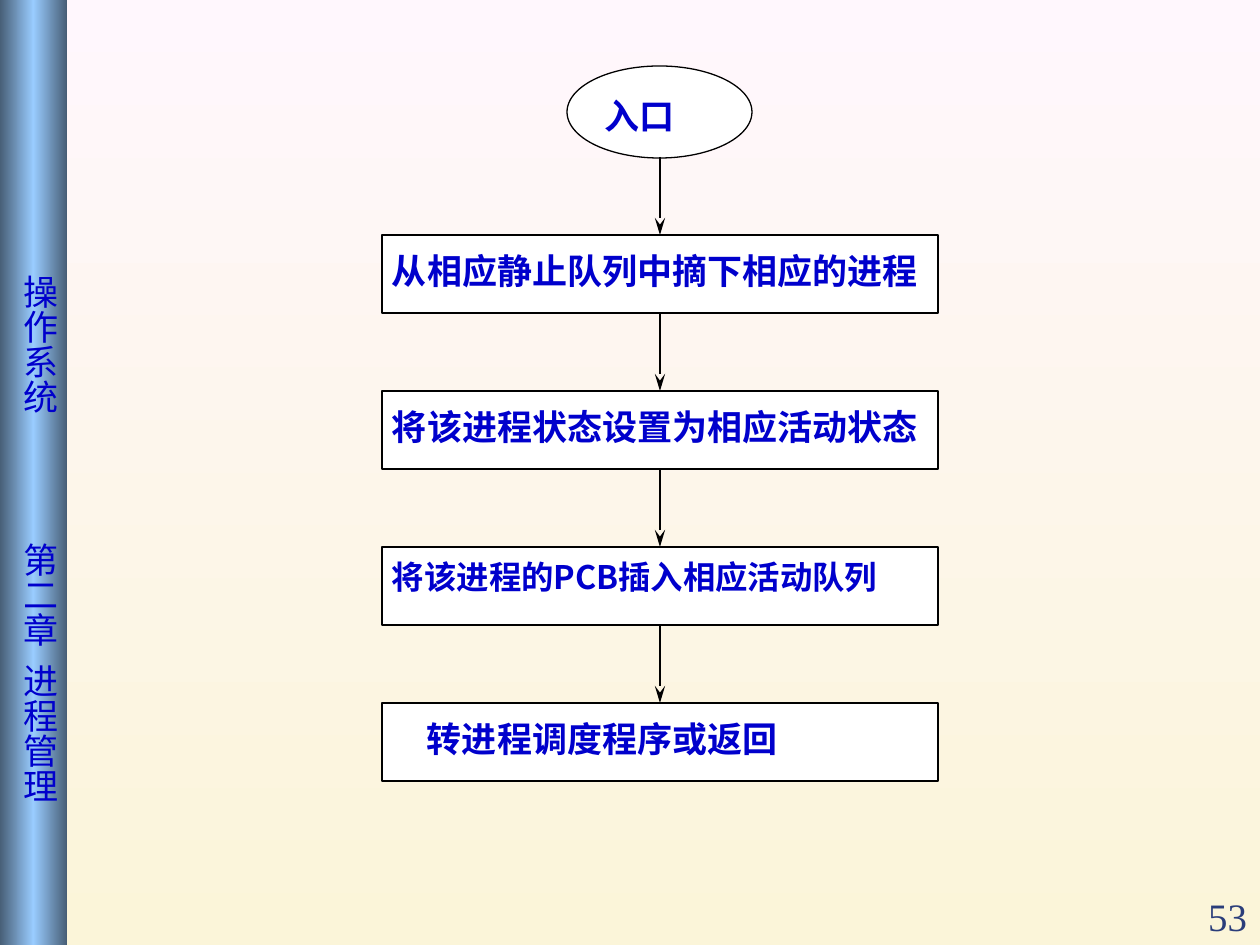
"""Build a process activation flowchart slide with a vertical chapter sidebar."""
from copy import deepcopy

from lxml.etree import SubElement
from pptx import Presentation
from pptx.dml.color import RGBColor
from pptx.enum.shapes import MSO_CONNECTOR as Connector, MSO_SHAPE as Shape
from pptx.enum.text import MSO_ANCHOR as Anchor, PP_ALIGN as Align
from pptx.oxml.ns import qn
from pptx.util import Pt

PX = 914400 / 126
SANS = "Noto Sans CJK SC"
BLUE = "0000CC"


def color(value):
    return RGBColor.from_string(value)


def write(shape, text, size, font_name, text_color, align, margins, bold=False):
    frame = shape.text_frame
    frame.word_wrap = True
    frame.vertical_anchor = Anchor.TOP
    frame.margin_left, frame.margin_top, frame.margin_right, frame.margin_bottom = (
        round(margin * PX) for margin in margins)
    paragraph = frame.paragraphs[0]
    paragraph.alignment = align
    run = paragraph.add_run()
    run.text = text
    font = run.font
    font.size = Pt(size)
    font.bold = bold
    font.color.rgb = color(text_color)
    font.name = font_name
    SubElement(font._element, qn("a:ea")).set("typeface", font_name)
    return paragraph


presentation = Presentation()
presentation.slide_width = round(1260 * PX)
presentation.slide_height = round(945 * PX)
slide = presentation.slides.add_slide(presentation.slide_layouts[6])
shapes = slide.shapes

background = slide.background.fill
background.gradient()
background.gradient_angle = 270
for stop, value in zip(background.gradient_stops, ("FFF7FD", "FBF5D9")):
    stop.color.rgb = color(value)

sidebar = shapes.add_shape(Shape.RECTANGLE, 0, 0, round(67 * PX), round(945 * PX))
sidebar.shadow.inherit = False
sidebar.line.fill.background()
sidebar.fill.gradient()
sidebar.fill.gradient_angle = 0
for stop, value in zip(sidebar.fill.gradient_stops, ("475E76", "99CCFF")):
    stop.color.rgb = color(value)
sidebar.fill.gradient_stops[1].position = 0.5
stop_list = sidebar._element.spPr.find(qn("a:gradFill")).find(qn("a:gsLst"))
last_stop = deepcopy(stop_list[0])
last_stop.set("pos", "100000")
stop_list.append(last_stop)

chapter = write(sidebar, "\t操作系统\t第二章\t进程管理", 20, SANS, BLUE, Align.LEFT, (6, 13, 6, 13))
sidebar.text_frame._txBody.bodyPr.set("vert", "eaVert")
tab_list = SubElement(chapter._p.get_or_add_pPr(), qn("a:tabLst"))
for position in (262, 530, 651):
    tab = SubElement(tab_list, qn("a:tab"))
    tab.set("pos", str(round(position * PX)))
    tab.set("algn", "l")

number = shapes.add_textbox(*(round(length * PX) for length in (1134, 883, 126, 63)))
write(number, "53", 22.2, "Times New Roman", "2A3D7A", Align.RIGHT, (13, 6, 13, 6)).line_spacing = 0.9
number.text_frame.vertical_anchor = Anchor.BOTTOM

center, first_top, step_width, step_height, pitch = 660, 235, 556, 78, 156
steps = [
    ("从相应静止队列中摘下相应的进程", 20, 10, 1),
    ("将该进程状态设置为相应活动状态", 20, 10, 1),
    ("将该进程的PCB插入相应活动队列", 18.5, 10, 0.9),
    ("转进程调度程序或返回", 20, 45, 1),
]
nodes = [(Shape.OVAL, 567, 66, 185, 92, "入口", 20, 10, 1)]
for index, step in enumerate(steps):
    top = first_top + index * pitch
    nodes.append((Shape.RECTANGLE, center - step_width // 2, top, step_width, step_height, *step))

for kind, left, top, width, height, text, size, margin_left, spacing in nodes:
    node = shapes.add_shape(kind, *(round(length * PX) for length in (left, top, width, height)))
    node.shadow.inherit = False
    node.fill.solid()
    node.fill.fore_color.rgb = color("FFFFFF")
    node.line.color.rgb = color("000000")
    node.line.width = Pt(0.75)
    paragraph = write(node, text, size, SANS, BLUE, Align.JUSTIFY, (margin_left, 15, 2, 0), True)
    paragraph.line_spacing = spacing

for index in range(len(steps)):
    end = first_top + index * pitch
    points = (center, end - (pitch - step_height), center, end)
    arrow = shapes.add_connector(Connector.STRAIGHT, *(round(point * PX) for point in points))
    arrow.line.color.rgb = color("000000")
    arrow.line.width = Pt(0.75)
    tail = SubElement(arrow.line._get_or_add_ln(), qn("a:tailEnd"))
    for name, value in (("type", "stealth"), ("w", "med"), ("len", "lg")):
        tail.set(name, value)
    SubElement(arrow._element.spPr, qn("a:effectLst"))

presentation.save("out.pptx")
